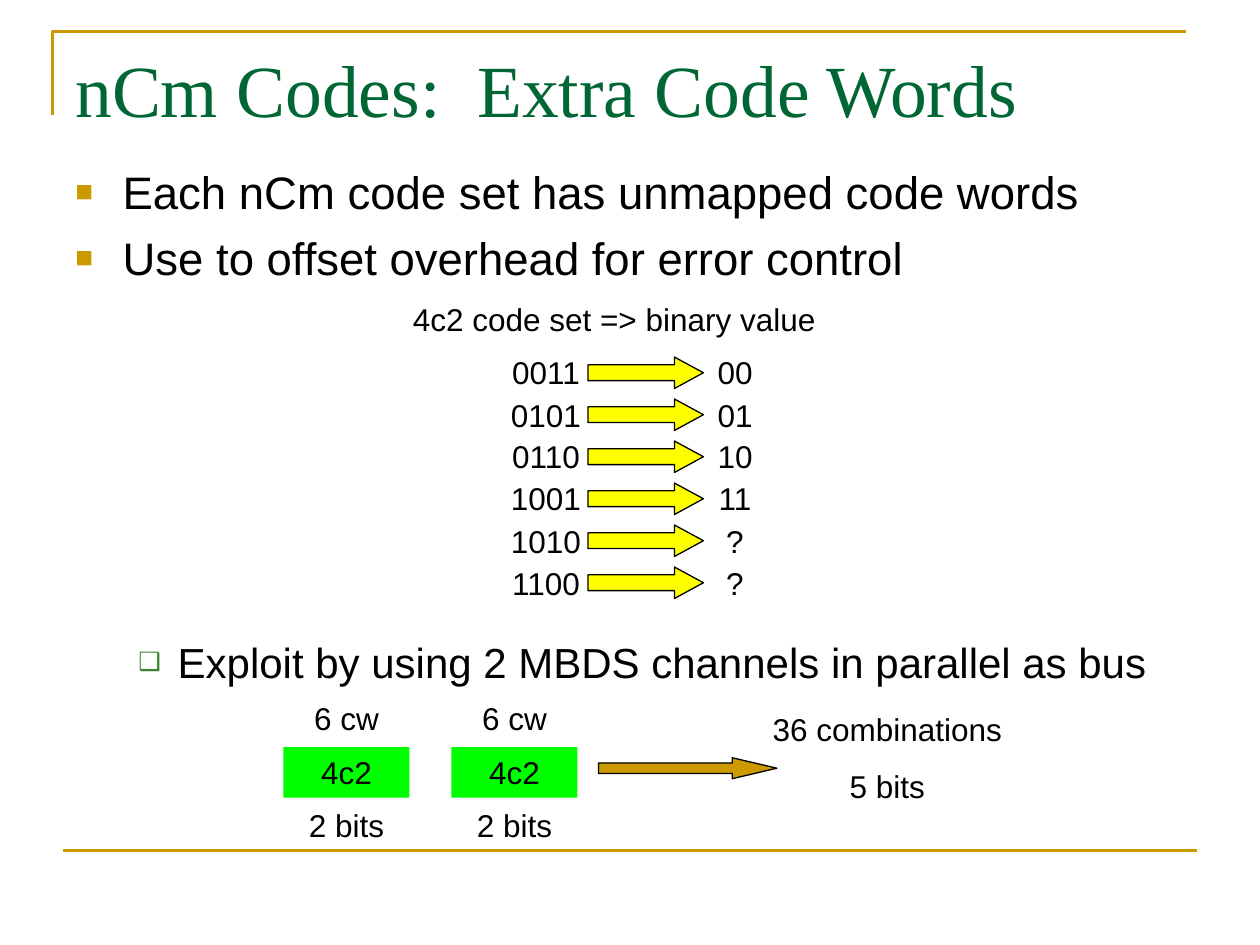
from dataclasses import dataclass

from lxml import etree
from pptx import Presentation
from pptx.dml.color import RGBColor
from pptx.enum.shapes import MSO_CONNECTOR, MSO_SHAPE
from pptx.enum.text import MSO_ANCHOR, PP_ALIGN
from pptx.oxml.ns import qn
from pptx.util import Pt

LEFT, CENTER = PP_ALIGN.LEFT, PP_ALIGN.CENTER
TOP = MSO_ANCHOR.TOP
RECTANGLE, RIGHT_ARROW = MSO_SHAPE.RECTANGLE, MSO_SHAPE.RIGHT_ARROW
STRAIGHT = MSO_CONNECTOR.STRAIGHT


@dataclass(frozen=True)
class Theme:
    gold: str = "CC9900"
    title: str = "006633"
    ink: str = "000000"
    yellow: str = "FFFF00"
    lime: str = "00FF00"
    sub_bullet: str = "3B812F"
    serif: str = "Times New Roman"
    sans: str = "Arial"
    title_size: float = 42
    body_size: float = 26
    sub_size: float = 24
    label_size: float = 18


theme = Theme()
deck = Presentation()
deck.slide_width, deck.slide_height = Pt(720), Pt(540)
page = deck.slides.add_slide(deck.slide_layouts[6])
shapes = page.shapes


def add_text(area, lines, size=theme.label_size, font=theme.sans, color=theme.ink,
             align=CENTER, before=11.2, bullet=None, box=None):
    box = box or shapes.add_textbox(*map(Pt, area))
    frame = box.text_frame
    frame.word_wrap = True
    frame.vertical_anchor = TOP
    for index, line in enumerate(lines):
        para = frame.paragraphs[0] if index == 0 else frame.add_paragraph()
        para.alignment = align
        para.space_before = Pt(before)
        if bullet:
            symbol, bullet_color, percent, margin, hanging = bullet
            props = para._p.get_or_add_pPr()
            props.set("marL", str(Pt(margin)))
            props.set("indent", str(-Pt(hanging)))
            tint = etree.SubElement(props, qn("a:buClr"))
            etree.SubElement(tint, qn("a:srgbClr"), val=bullet_color)
            etree.SubElement(props, qn("a:buSzPct"), val=str(percent * 1000))
            etree.SubElement(props, qn("a:buFont"), typeface=theme.sans)
            etree.SubElement(props, qn("a:buChar"), char=symbol)
        span = para.add_run()
        span.text = line
        span.font.size = Pt(size)
        span.font.name = font
        span.font.color.rgb = RGBColor.from_string(color)


def add_block(kind, area, fill, outlined=True, head=None):
    block = shapes.add_shape(kind, *map(Pt, area))
    block.shadow.inherit = False
    block.fill.solid()
    block.fill.fore_color.rgb = RGBColor.from_string(fill)
    if outlined:
        block.line.color.rgb = RGBColor.from_string(theme.ink)
        block.line.width = Pt(0.75)
    else:
        block.line.fill.background()
    if head:
        block.adjustments[0] = 0.5
        block.adjustments[1] = head
    return block


builder = shapes.build_freeform(Pt(30), Pt(66))
builder.add_line_segments([(Pt(30), Pt(18)), (Pt(678), Pt(18))], close=False)
corner = builder.convert_to_shape()
corner.shadow.inherit = False
corner.fill.background()
footer = shapes.add_connector(STRAIGHT, Pt(36), Pt(486), Pt(684), Pt(486))
etree.SubElement(footer._element.spPr, qn("a:effectLst"))
for rule in (corner, footer):
    rule.line.color.rgb = RGBColor.from_string(theme.gold)
    rule.line.width = Pt(1.5)

add_text((36, 21.6, 648, 50.4), ["nCm Codes:  Extra Code Words"],
         theme.title_size, theme.serif, theme.title, LEFT, 0)
add_text((36, 90, 648, 78),
         ["Each nCm code set has unmapped code words",
          "Use to offset overhead for error control"],
         theme.body_size, align=LEFT, before=6.5,
         bullet=("■", theme.gold, 65, 27, 27))
add_text((198, 168, 306, 28.8), ["4c2 code set => binary value"])

code_rows = [
    ("0011", "00", 198), ("0101", "01", 223), ("0110", "10", 246),
    ("1001", "11", 270), ("1010", "?", 295), ("1100", "?", 319),
]
for index, (code, value, top) in enumerate(code_rows):
    add_text((282, top, 60, 28.8), [code])
    add_text((390, top, 60, 28.8), [value])
    add_block(RIGHT_ARROW, (336, 204 + 24 * index, 66, 18), theme.yellow, head=0.92)

add_text((36, 360, 648, 42), ["Exploit by using 2 MBDS channels in parallel as bus"],
         theme.sub_size, align=LEFT, before=6,
         bullet=("❑", theme.sub_bullet, 60, 58.5, 22.5))

for left in (162, 258):
    channel = add_block(RECTANGLE, (left, 427, 72, 28.8), theme.lime, outlined=False)
    add_text(None, ["4c2"], box=channel)
    add_text((left, 396, 72, 28.8), ["6 cw"])
    add_text((left, 457, 72, 28.8), ["2 bits"])

add_block(RIGHT_ARROW, (342, 433, 102, 12), theme.gold, head=2.13)
add_text((426, 402, 162, 62), ["36 combinations", "5 bits"])

deck.save("out.pptx")
